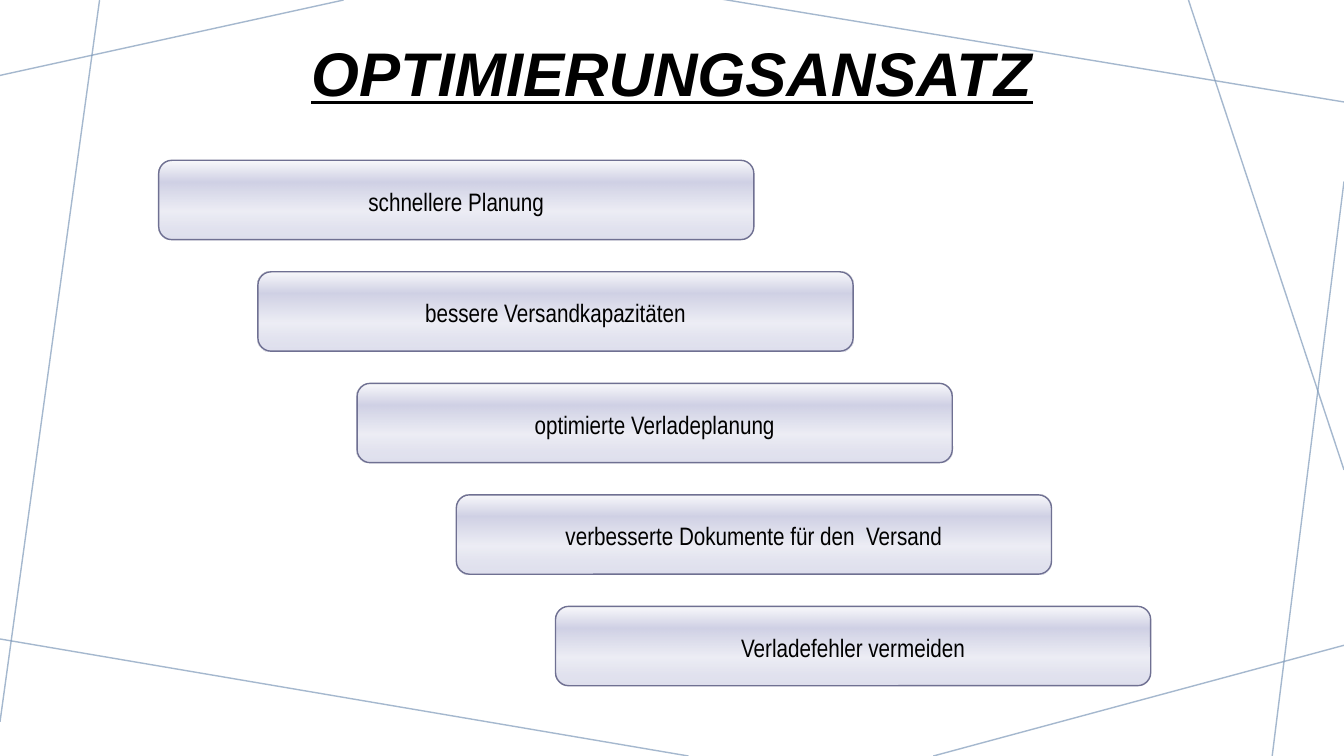
from lxml import etree
from pptx import Presentation
from pptx.dml.color import RGBColor
from pptx.enum.shapes import MSO_CONNECTOR, MSO_SHAPE
from pptx.enum.text import MSO_ANCHOR, PP_ALIGN
from pptx.oxml.ns import qn
from pptx.util import Cm, Pt

STRAIGHT = MSO_CONNECTOR.STRAIGHT
ROUND = MSO_SHAPE.ROUNDED_RECTANGLE
MIDDLE = MSO_ANCHOR.MIDDLE
CENTER = PP_ALIGN.CENTER

WIDTH, HEIGHT = 33.87, 19.05
COLORS = {
    "text": "000000",
    "rule": "7F9ABA",
    "edge": "6F7092",
    "light": "FAFAFC",
    "lilac": "D0D1E5",
    "base": "DFE0EE",
}
# Position, colour and opacity, in percent
STOPS = [(0, "light", 100), (27, "lilac", 100), (64, "lilac", 37), (100, "base", 100)]

# Start x, start y, end x, end y
RULES = [
    (8.66, 0, 0, 1.9),
    (2.51, 0, 0, 18.19),
    (17.35, HEIGHT, -0.13, 16.08),
    (WIDTH, 16.26, 23.52, HEIGHT),
    (WIDTH, 4.57, 32.06, HEIGHT),
    (WIDTH, 11.84, 29.95, 0),
    (WIDTH, 2.57, 18.14, -0.03),
]
GOALS = [
    "schnellere Planung",
    "bessere Versandkapazitäten",
    "optimierte Verladeplanung",
    "verbesserte Dokumente für den  Versand",
    "Verladefehler vermeiden",
]


class Painter:
    def __init__(self, slide):
        self.shapes = slide.shapes

    def color(self, name):
        return RGBColor.from_string(COLORS[name])

    def fade(self, node, percent):
        etree.SubElement(node, qn("a:alpha"), val=str(percent * 1000))

    def label(self, shape, text, face, size, spacing):
        frame = shape.text_frame
        frame.word_wrap = True
        frame.vertical_anchor = MIDDLE
        par = frame.paragraphs[0]
        par.text = text
        par.alignment = CENTER
        par.line_spacing = spacing
        par.font.name = face
        par.font.size = Pt(size)
        par.font.color.rgb = self.color("text")
        return par.font

    def rule(self, *ends):
        line = self.shapes.add_connector(STRAIGHT, *map(Cm, ends))
        line.line.width = Pt(1)
        line.line.color.rgb = self.color("rule")
        props = line._element.spPr
        self.fade(props.find(".//" + qn("a:srgbClr")), 70)
        etree.SubElement(props, qn("a:effectLst"))

    def title(self, text):
        box = self.shapes.add_textbox(0, 0, Cm(WIDTH), Cm(3.84))
        font = self.label(box, text, "Arial", 44, 0.9)
        font.bold = font.italic = font.underline = True

    def bar(self, left, top, text):
        bar = self.shapes.add_shape(ROUND, Cm(left), Cm(top), Cm(15), Cm(2))
        bar.shadow.inherit = False
        bar.line.color.rgb = self.color("edge")
        bar.line.width = Pt(1)
        self.shade(bar)
        self.label(bar, text, "Arial Narrow", 18, 1.07)

    def shade(self, shape):
        shape.fill.gradient()
        shape.fill.gradient_angle = 270
        stops = shape._element.spPr.find(".//" + qn("a:gsLst"))
        for old in list(stops):
            stops.remove(old)
        for place, name, percent in STOPS:
            stop = etree.SubElement(stops, qn("a:gs"), pos=str(place * 1000))
            tint = etree.SubElement(stop, qn("a:srgbClr"), val=COLORS[name])
            if percent < 100:
                self.fade(tint, percent)


def main():
    deck = Presentation()
    deck.slide_width, deck.slide_height = Cm(WIDTH), Cm(HEIGHT)
    painter = Painter(deck.slides.add_slide(deck.slide_layouts[6]))

    # Background lines
    for ends in RULES:
        painter.rule(*ends)

    # Heading
    painter.title("OPTIMIERUNGSANSATZ")

    # Staircase of goals
    for step, goal in enumerate(GOALS):
        painter.bar(4 + 2.5 * step, 4.04 + 2.81 * step, goal)

    deck.save("out.pptx")


if __name__ == "__main__":
    main()
